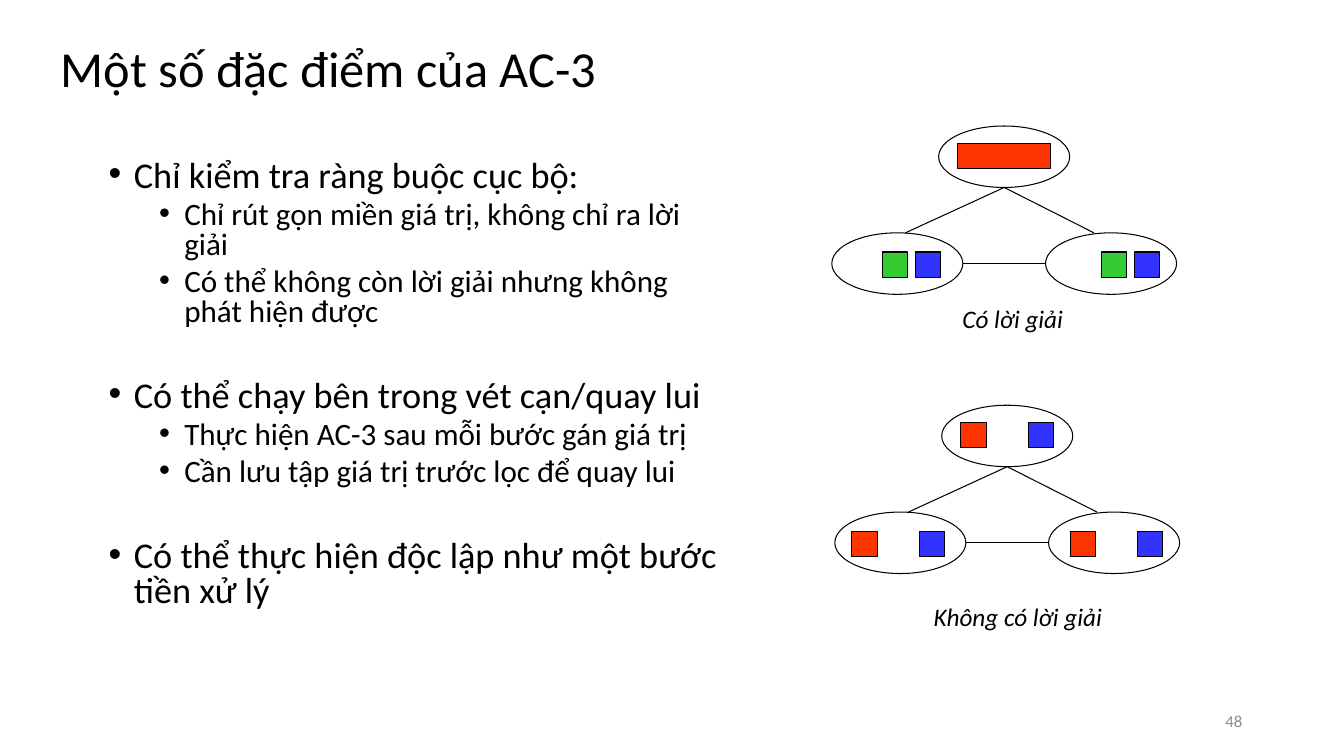
from lxml import etree
from pptx import Presentation
from pptx.dml.color import RGBColor
from pptx.enum.shapes import MSO_CONNECTOR, MSO_SHAPE
from pptx.enum.text import MSO_ANCHOR, PP_ALIGN
from pptx.oxml.ns import qn
from pptx.util import Inches, Pt

TITLE = "Một số đặc điểm của AC-3"
# (heading, sub-points)
TOPICS = [
    ("Chỉ kiểm tra ràng buộc cục bộ:",
     ["Chỉ rút gọn miền giá trị, không chỉ ra lời giải",
      "Có thể không còn lời giải nhưng không phát hiện được"]),
    ("Có thể chạy bên trong vét cạn/quay lui",
     ["Thực hiện AC-3 sau mỗi bước gán giá trị",
      "Cần lưu tập giá trị trước lọc để quay lui"]),
    ("Có thể thực hiện độc lập như một bước tiền xử lý", []),
]
PAGE_NUMBER = "48"

BLACK, GREY = "000000", "8C8C8C"
RED, GREEN, BLUE = "FF3300", "33CC33", "3333FF"
FONT = "Calibri"
NODE_WIDTH, NODE_HEIGHT, VALUE_SIZE = 1.3, 0.61, 0.25

# Node offsets and edges, measured from the top node's corner
NODES = {"top": (0, 0), "left": (-1.06, 1.06), "right": (1.06, 1.06)}
EDGES = [(0.65, 0.61, -0.33, 1.06), (0.65, 0.61, 1.54, 1.06),
         (0.24, 1.36, 1.06, 1.36)]
# Domain values in each node: (x within node, width, colour)
GRAPHS = [
    {"corner": (9.31, 1.25), "caption": "Có lời giải", "caption_at": (8.96, 2.96),
     "domains": {"top": [(0.19, 0.92, RED)],
                 "left": [(0.5, VALUE_SIZE, GREEN), (0.83, VALUE_SIZE, BLUE)],
                 "right": [(0.55, VALUE_SIZE, GREEN), (0.88, VALUE_SIZE, BLUE)]}},
    {"corner": (9.34, 4.02), "caption": "Không có lời giải", "caption_at": (9.01, 5.92),
     "domains": {"top": [(0.19, VALUE_SIZE, RED), (0.86, VALUE_SIZE, BLUE)],
                 "left": [(0.17, VALUE_SIZE, RED), (0.84, VALUE_SIZE, BLUE)],
                 "right": [(0.22, VALUE_SIZE, RED), (0.88, VALUE_SIZE, BLUE)]}},
]


def colour(value):
    return RGBColor.from_string(value)


def write(para, text, size, color=BLACK, italic=False, align=PP_ALIGN.LEFT,
          spacing=None, before=0):
    para.alignment = align
    para.line_spacing = spacing
    para.space_before = Pt(before)
    span = para.add_run()
    span.text = text
    span.font.name = FONT
    span.font.size = Pt(size)
    span.font.italic = italic
    span.font.color.rgb = colour(color)


def add_box(page, left, top, width, height, anchor=MSO_ANCHOR.TOP):
    box = page.shapes.add_textbox(*map(Inches, (left, top, width, height)))
    box.text_frame.word_wrap = True
    box.text_frame.vertical_anchor = anchor
    return box.text_frame


def add_bullet(para, indent):
    props = para._p.get_or_add_pPr()
    props.set("marL", str(Inches(indent)))
    props.set("indent", str(Inches(-0.25)))
    etree.SubElement(props, qn("a:buFont")).set("typeface", "Arial")
    etree.SubElement(props, qn("a:buChar")).set("char", "•")


def add_outlined(page, kind, left, top, width, height, fill=None):
    shape = page.shapes.add_shape(kind, *map(Inches, (left, top, width, height)))
    shape.shadow.inherit = False
    if fill:
        shape.fill.solid()
        shape.fill.fore_color.rgb = colour(fill)
    else:
        shape.fill.background()
    shape.line.color.rgb = colour(BLACK)
    shape.line.width = Pt(0.75)


def add_edge(page, *ends):
    edge = page.shapes.add_connector(MSO_CONNECTOR.STRAIGHT, *map(Inches, ends))
    edge.line.color.rgb = colour(BLACK)
    edge.line.width = Pt(0.75)
    etree.SubElement(edge._element.spPr, qn("a:effectLst"))


def add_title(page):
    title = page.shapes.title
    title.left, title.top, title.width, title.height = map(
        Inches, (0.5, 0.4, 11.5, 0.62))
    title.text_frame.vertical_anchor = MSO_ANCHOR.MIDDLE
    write(title.text_frame.paragraphs[0], TITLE, 36, spacing=0.9)


def add_topics(page):
    frame = add_box(page, 0.98, 1.54, 6.27, 4.95)
    for index, (heading, points) in enumerate(TOPICS):
        para = frame.add_paragraph() if index else frame.paragraphs[0]
        add_bullet(para, 0.25)
        write(para, heading, 25.9, spacing=0.8, before=37 if index else 0)
        for point in points:
            para = frame.add_paragraph()
            para.level = 1
            add_bullet(para, 0.75)
            write(para, point, 22.2, spacing=0.8, before=5)


def add_graph(page, corner, caption, caption_at, domains):
    left, top = corner
    for x1, y1, x2, y2 in EDGES:
        add_edge(page, left + x1, top + y1, left + x2, top + y2)
    for name, (dx, dy) in NODES.items():
        x, y = left + dx, top + dy
        add_outlined(page, MSO_SHAPE.OVAL, x, y, NODE_WIDTH, NODE_HEIGHT)
        inset = 0.17 if name == "top" else 0.19
        for offset, width, fill in domains[name]:
            add_outlined(page, MSO_SHAPE.RECTANGLE, x + offset, y + inset,
                         width, VALUE_SIZE, fill)
    frame = add_box(page, *caption_at, 2.17, 0.4)
    write(frame.paragraphs[0], caption, 18, italic=True, align=PP_ALIGN.CENTER)


def main():
    deck = Presentation()
    deck.slide_width, deck.slide_height = Inches(13.33), Inches(7.5)
    page = deck.slides.add_slide(deck.slide_layouts[5])
    add_title(page)
    add_topics(page)
    for graph in GRAPHS:
        add_graph(page, **graph)
    number = add_box(page, 9.42, 6.95, 3, 0.4, MSO_ANCHOR.MIDDLE)
    write(number.paragraphs[0], PAGE_NUMBER, 12, GREY, align=PP_ALIGN.RIGHT)
    deck.save("out.pptx")


if __name__ == "__main__":
    main()
